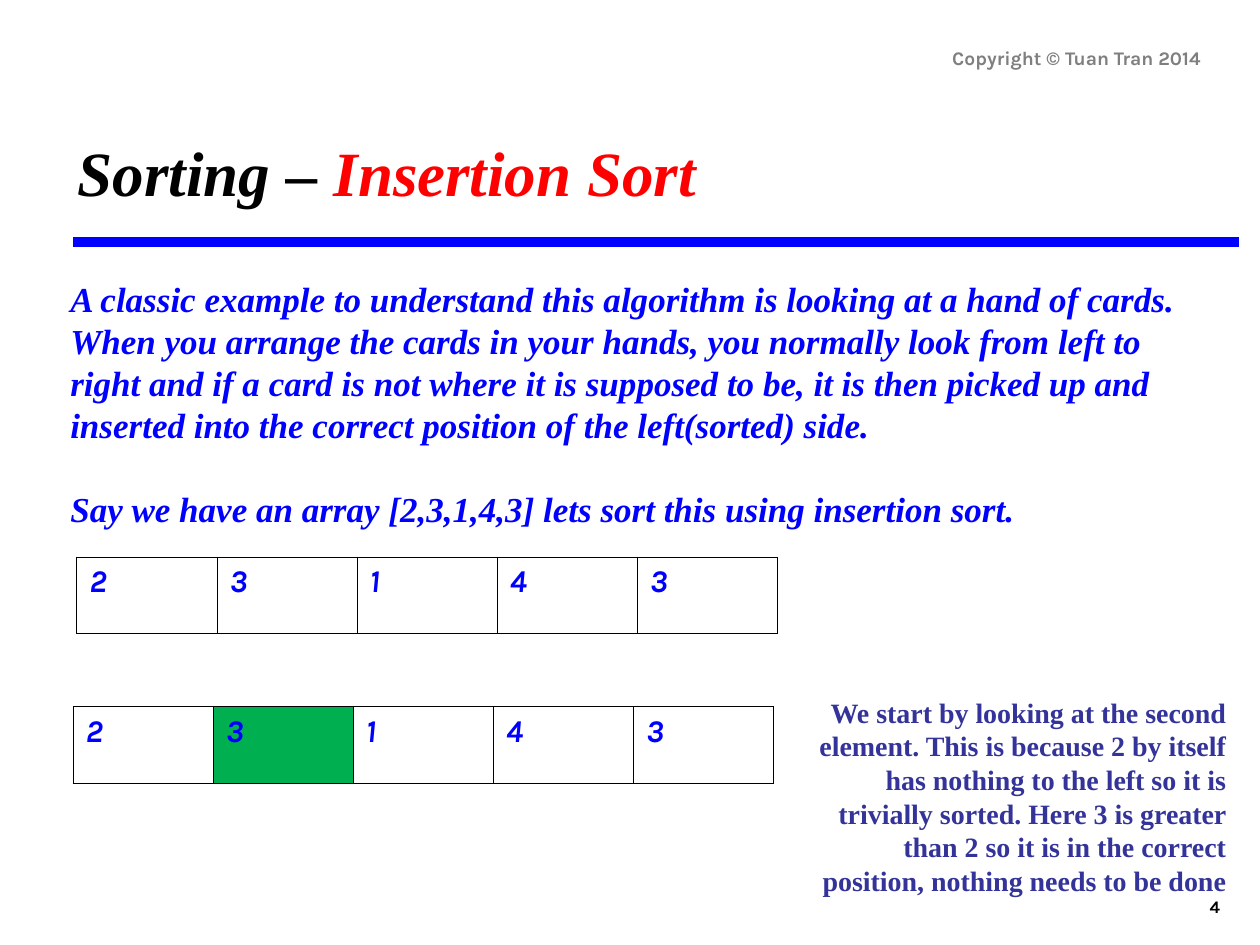
from dataclasses import dataclass

from lxml import etree
from pptx import Presentation
from pptx.dml.color import RGBColor
from pptx.enum.shapes import MSO_CONNECTOR
from pptx.enum.text import MSO_ANCHOR as Anchor, PP_ALIGN as Align
from pptx.oxml.ns import qn
from pptx.util import Inches, Pt

COLORS = {
    "black": "000000",
    "red": "FF0000",
    "blue": "0000FF",
    "indigo": "333399",
    "gray": "7F7F7F",
    "green": "00B050",
}
SERIF, SANS = "Times New Roman", "Karla"
ARRAY_WIDTH, ARRAY_HEIGHT = 5.56, 0.61


@dataclass
class Style:
    font: str
    size: float
    color: str
    italic: bool = False


@dataclass
class Box:
    left: float
    top: float
    width: float
    height: float


@dataclass
class ArrayStep:
    left: float
    top: float
    values: list[int]
    highlighted: int | None = None


ARRAY_STYLE = Style(SANS, 18, "blue", italic=True)
ARRAY_STEPS = [
    ArrayStep(0.61, 4.42, [2, 3, 1, 4, 3]),
    ArrayStep(0.58, 5.61, [2, 3, 1, 4, 3], highlighted=1),
]


def rgb(name: str) -> RGBColor:
    return RGBColor.from_string(COLORS[name])


def format_run(run, style: Style) -> None:
    font = run.font
    font.name, font.size = style.font, Pt(style.size)
    font.bold, font.italic = True, style.italic
    font.color.rgb = rgb(style.color)


def add_text(slide, box: Box, text: str, style: Style, align=Align.LEFT,
             anchor=Anchor.TOP):
    shape = slide.shapes.add_textbox(Inches(box.left), Inches(box.top),
                                     Inches(box.width), Inches(box.height))
    frame = shape.text_frame
    frame.word_wrap, frame.vertical_anchor = True, anchor
    frame.text = text
    for paragraph in frame.paragraphs:
        paragraph.alignment = align
        for run in paragraph.runs:
            format_run(run, style)
    return frame


def add_rule(slide) -> None:
    rule = slide.shapes.add_connector(MSO_CONNECTOR.STRAIGHT, Inches(0.58), Inches(1.92),
                                      Inches(9.83), Inches(1.92))
    rule.line.color.rgb = rgb("blue")
    rule.line.width = Pt(6)
    etree.SubElement(rule._element.spPr, qn("a:effectLst"))


def add_borders(cell) -> None:
    properties = cell._tc.get_or_add_tcPr()
    for side in ("lnL", "lnR", "lnT", "lnB"):
        border = etree.SubElement(properties, qn(f"a:{side}"), w=str(Pt(0.45)))
        fill = etree.SubElement(border, qn("a:solidFill"))
        etree.SubElement(fill, qn("a:srgbClr"), val=COLORS["black"])


def add_array(slide, step: ArrayStep) -> None:
    table = slide.shapes.add_table(1, len(step.values), Inches(step.left), Inches(step.top),
                                   Inches(ARRAY_WIDTH), Inches(ARRAY_HEIGHT)).table
    table.first_row = table.horz_banding = False
    for index, value in enumerate(step.values):
        cell = table.cell(0, index)
        cell.text = str(value)
        format_run(cell.text_frame.paragraphs[0].runs[0], ARRAY_STYLE)
        add_borders(cell)
        if index == step.highlighted:
            cell.fill.solid()
            cell.fill.fore_color.rgb = rgb("green")
        else:
            cell.fill.background()


def main() -> None:
    prs = Presentation()
    prs.slide_width, prs.slide_height = Inches(10), Inches(7.5)
    slide = prs.slides.add_slide(prs.slide_layouts[6])

    add_text(slide, Box(7.7, 6.83, 2.08, 0.5), "4", Style(SANS, 10, "black"),
             Align.RIGHT, Anchor.BOTTOM)

    title = add_text(slide, Box(0.52, 1.01, 5.4, 1.3), "Sorting – ",
                     Style(SERIF, 36, "black", italic=True))
    topic = title.paragraphs[0].add_run()
    topic.text = "Insertion Sort"
    format_run(topic, Style(SERIF, 36, "red", italic=True))
    add_rule(slide)

    explanation = add_text(
        slide, Box(0.46, 2.15, 9.17, 3.44),
        "A classic example to understand this algorithm is looking at a hand of cards. "
        "When you arrange the cards in your hands, you normally look from left to right "
        "and if a card is not where it is supposed to be, it is then picked up and "
        "inserted into the correct position of the left(sorted) side.\n"
        "Say we have an array [2,3,1,4,3] lets sort this using insertion sort.",
        Style(SERIF, 20, "blue", italic=True))
    explanation.paragraphs[1].space_before = Pt(24)

    for step in ARRAY_STEPS:
        add_array(slide, step)

    add_text(
        slide, Box(6.35, 5.47, 3.48, 1.7),
        "We start by looking at the second element. This is because 2 by itself has "
        "nothing to the left so it is trivially sorted. Here 3 is greater than 2 so it "
        "is in the correct position, nothing needs to be done",
        Style(SERIF, 16, "indigo"), Align.RIGHT)
    add_text(slide, Box(6.46, 0.33, 3.17, 0.27), "Copyright © Tuan Tran 2014",
             Style(SANS, 11, "gray"), Align.RIGHT, Anchor.BOTTOM)

    prs.save("out.pptx")


if __name__ == "__main__":
    main()
